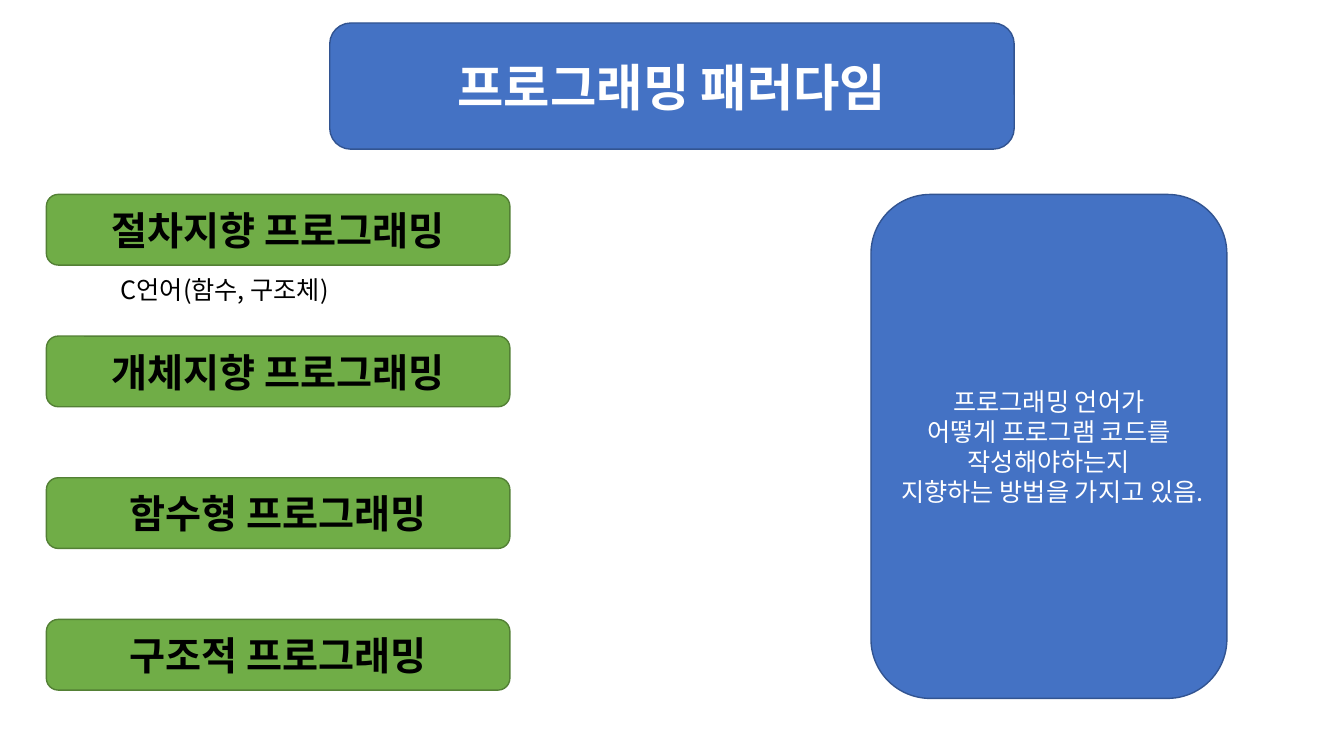
from lxml.etree import SubElement
from pptx import Presentation
from pptx.dml.color import RGBColor
from pptx.enum.shapes import MSO_SHAPE
from pptx.enum.text import MSO_ANCHOR, MSO_AUTO_SIZE, PP_ALIGN
from pptx.oxml.ns import qn
from pptx.util import Cm, Pt

FONT = "Noto Sans CJK KR"
BLUE = RGBColor(0x44, 0x72, 0xC4)
DARK_BLUE = RGBColor(0x32, 0x54, 0x91)
GREEN = RGBColor(0x70, 0xAD, 0x47)
DARK_GREEN = RGBColor(0x53, 0x80, 0x35)
WHITE = RGBColor(0xFF, 0xFF, 0xFF)
BLACK = RGBColor(0x00, 0x00, 0x00)


def write_lines(box, lines, color, align, **font_format):
    """Fill the box with one paragraph per line, in the Latin and East Asian font."""
    frame = box.text_frame
    frame.word_wrap = True
    for index, line in enumerate(lines):
        para = frame.add_paragraph() if index else frame.paragraphs[0]
        para.alignment = align
        span = para.add_run()
        span.text = line
        span.font.color.rgb = color
        for name, value in {"name": FONT, **font_format}.items():
            setattr(span.font, name, value)
        SubElement(span.font._element, qn("a:ea"), typeface=FONT)


def add_panel(place, fill, border, lines, color, **font_format):
    panel = page.shapes.add_shape(
        MSO_SHAPE.ROUNDED_RECTANGLE, *(Cm(length) for length in place)
    )
    panel.shadow.inherit = False
    panel.fill.solid()
    panel.fill.fore_color.rgb = fill
    panel.line.color.rgb = border
    panel.line.width = Pt(1)
    panel.text_frame.vertical_anchor = MSO_ANCHOR.MIDDLE
    write_lines(panel, lines, color, PP_ALIGN.CENTER, **font_format)


deck = Presentation()
deck.slide_width, deck.slide_height = Cm(33.87), Cm(19.05)
page = deck.slides.add_slide(deck.slide_layouts[6])

add_panel((8.31, 0.58, 17.25, 3.18), BLUE, DARK_BLUE,
          ["프로그래밍 패러다임"], WHITE, size=Pt(36), bold=True)

# Paradigms, evenly spaced down the left side
paradigms = ["절차지향", "개체지향", "함수형", "구조적"]
for row, paradigm in enumerate(paradigms):
    add_panel((1.17, 4.9 + row * 3.57, 11.68, 1.78), GREEN, DARK_GREEN,
              [f"{paradigm} 프로그래밍"], BLACK, size=Pt(28), bold=True)

definition = [
    "프로그래밍 언어가",
    "어떻게 프로그램 코드를 작성해야하는지",
    "지향하는 방법을 가지고 있음.",
]
add_panel((21.95, 4.9, 8.97, 12.7), BLUE, DARK_BLUE,
          definition, WHITE, size=Pt(18))

example = page.shapes.add_textbox(Cm(2.79), Cm(6.78), Cm(9.58), Cm(1.02))
example.text_frame.auto_size = MSO_AUTO_SIZE.SHAPE_TO_FIT_TEXT
write_lines(example, ["C언어(함수, 구조체)"], BLACK, PP_ALIGN.LEFT, size=Pt(18))

deck.save("out.pptx")
